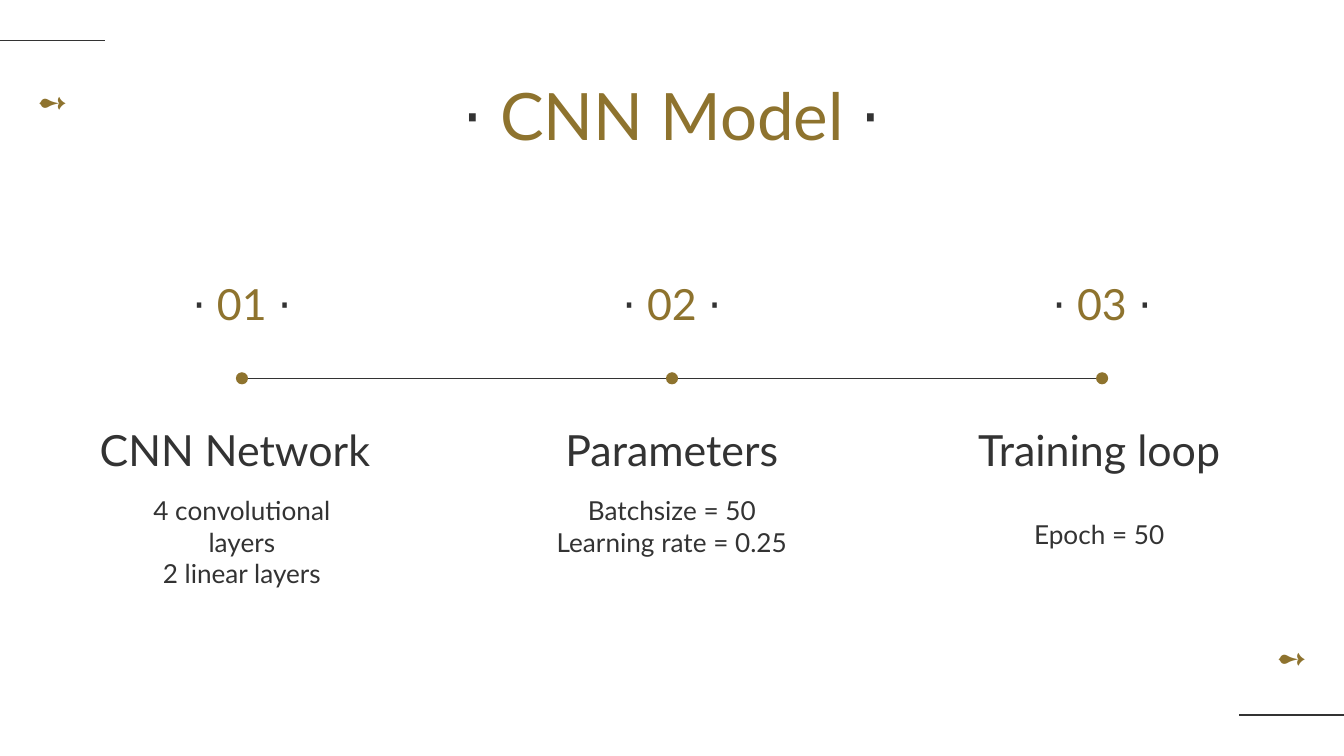
from lxml import etree
from pptx import Presentation
from pptx.dml.color import RGBColor
from pptx.enum import shapes, text
from pptx.oxml.ns import qn
from pptx.util import Inches, Pt

GOLD = RGBColor(0x8E, 0x73, 0x2E)
DARK = RGBColor(0x33, 0x33, 0x33)
WHITE = RGBColor(0xFF, 0xFF, 0xFF)

MIDDLE = text.MSO_ANCHOR.MIDDLE
TOP = text.MSO_ANCHOR.TOP
WIDTH = 10
HEIGHT = WIDTH * 9 / 16
MARGIN = 0.78
STEP_TOP, STEP_WIDTH, STEP_PITCH = 2.01, 2.04, 3.2
DOT_SIZE, DOT_OFFSET = 0.09, 0.76

STEPS = [
    {"heading": "CNN Network", "heading_box": (-0.21, 2.36),
     "details": ["4 convolutional layers", "2 linear layers"],
     "details_box": (0, 1.57, 0.72)},
    {"heading": "Parameters", "heading_box": (0, 2.04),
     "details": ["Batchsize = 50", "Learning rate = 0.25"],
     "details_box": (0, 1.57, 0.72)},
    {"heading": "Training loop", "heading_box": (-0.17, 2.34),
     "details": ["Epoch = 50"],
     "details_box": (-0.02, 1.75, 0.36)},
]


def add_text(slide, box, paragraphs, size, anchor=MIDDLE, font="Lato"):
    shape = slide.shapes.add_textbox(*map(Inches, box))
    frame = shape.text_frame
    settings = {"word_wrap": True, "vertical_anchor": anchor}
    for side in ("left", "top", "right", "bottom"):
        settings[f"margin_{side}"] = Inches(0.1)
    for name, value in settings.items():
        setattr(frame, name, value)
    for index, runs in enumerate(paragraphs):
        paragraph = frame.add_paragraph() if index else frame.paragraphs[0]
        paragraph.alignment = text.PP_ALIGN.CENTER
        for words, color in runs:
            run = paragraph.add_run()
            run.text = words
            for name, value in {"name": font, "size": Pt(size)}.items():
                setattr(run.font, name, value)
            run.font.color.rgb = color


def add_dotted_text(slide, box, words, size):
    runs = [("⋅ ", DARK), (f"{words} ", GOLD), ("⋅", DARK)]
    add_text(slide, box, [runs], size)


def add_line(slide, left, right, y):
    connector = slide.shapes.add_connector(
        shapes.MSO_CONNECTOR.STRAIGHT,
        Inches(left), Inches(y), Inches(right), Inches(y))
    connector.line.color.rgb = DARK
    connector.line.width = Pt(0.75)
    properties = connector._element.find(qn("p:spPr"))
    etree.SubElement(properties, qn("a:effectLst"))


def add_corner(slide, left, line_y, arrow_top):
    add_line(slide, left, left + MARGIN, line_y)
    add_text(slide, (left, arrow_top, MARGIN, 0.31), [[("➻", GOLD)]], 20, font="Arial")


def add_step(slide, left, top, number, step):
    add_dotted_text(slide, (left, top, STEP_WIDTH, 0.49), f"{number:02}", 23)

    dot = slide.shapes.add_shape(
        shapes.MSO_SHAPE.OVAL, Inches(left + STEP_WIDTH / 2 - DOT_SIZE / 2),
        Inches(top + DOT_OFFSET), Inches(DOT_SIZE), Inches(DOT_SIZE))
    dot.shadow.inherit = False
    dot.fill.solid()
    dot.fill.fore_color.rgb = GOLD
    dot.line.fill.background()

    shift, width = step["heading_box"]
    add_text(slide, (left + shift, top + 1.1, width, 0.47),
             [[(step["heading"], DARK)]], 23)

    shift, drop, height = step["details_box"]
    add_text(slide, (left + shift, top + drop, STEP_WIDTH, height),
             [[(detail, DARK)] for detail in step["details"]], 14, TOP)


def add_timeline(slide, left, top):
    for index, step in enumerate(STEPS):
        add_step(slide, left + index * STEP_PITCH, top, index + 1, step)
    for index in range(len(STEPS) - 1):
        center = left + STEP_WIDTH / 2 + index * STEP_PITCH
        add_line(slide, center + DOT_SIZE / 2, center + STEP_PITCH - DOT_SIZE / 2,
                 top + DOT_OFFSET + DOT_SIZE / 2)


def main():
    presentation = Presentation()
    presentation.slide_width = Inches(WIDTH)
    presentation.slide_height = Inches(HEIGHT)
    slide = presentation.slides.add_slide(presentation.slide_layouts[6])
    slide.background.fill.solid()
    slide.background.fill.fore_color.rgb = WHITE

    add_corner(slide, 0, 0.3, 0.59)
    add_corner(slide, WIDTH - MARGIN, 5.32, 4.73)
    add_dotted_text(slide, (MARGIN, 0.59, WIDTH - 2 * MARGIN, 0.52), "CNN Model", 35)
    add_timeline(slide, MARGIN, STEP_TOP)
    presentation.save("out.pptx")


if __name__ == "__main__":
    main()
